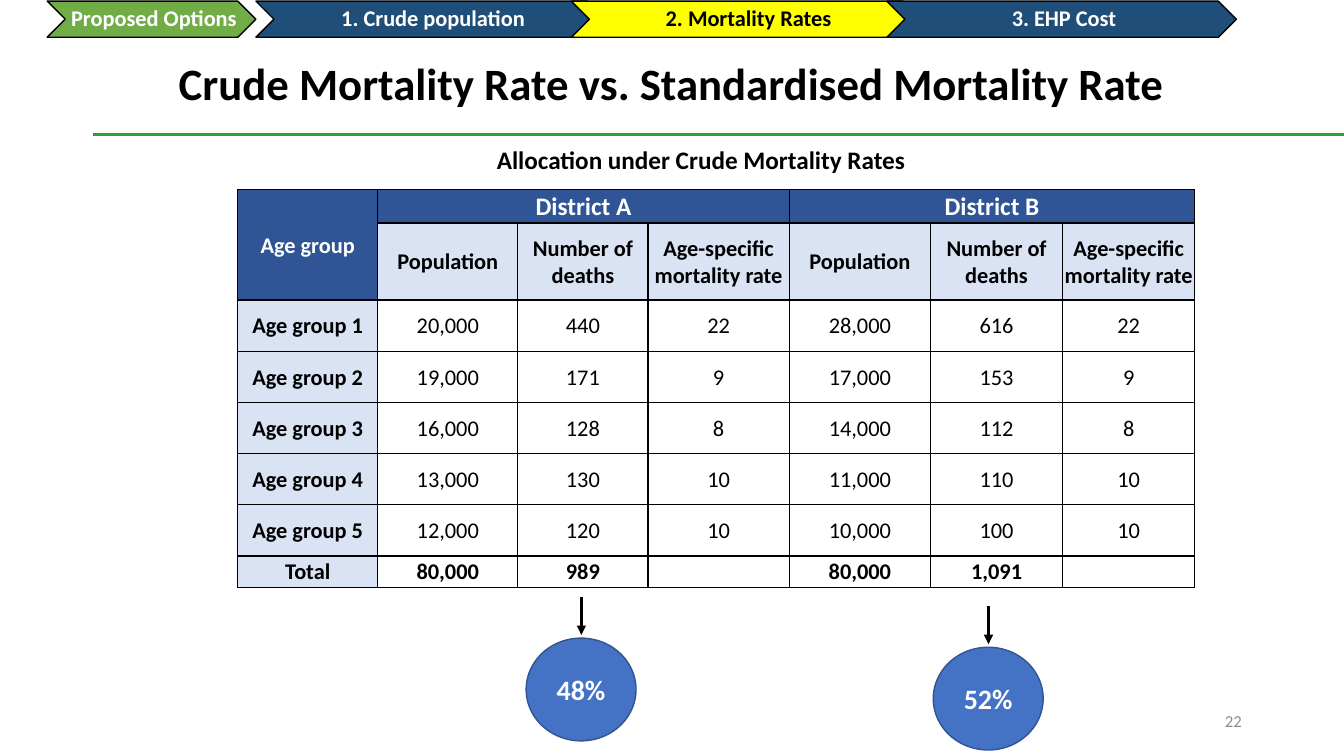
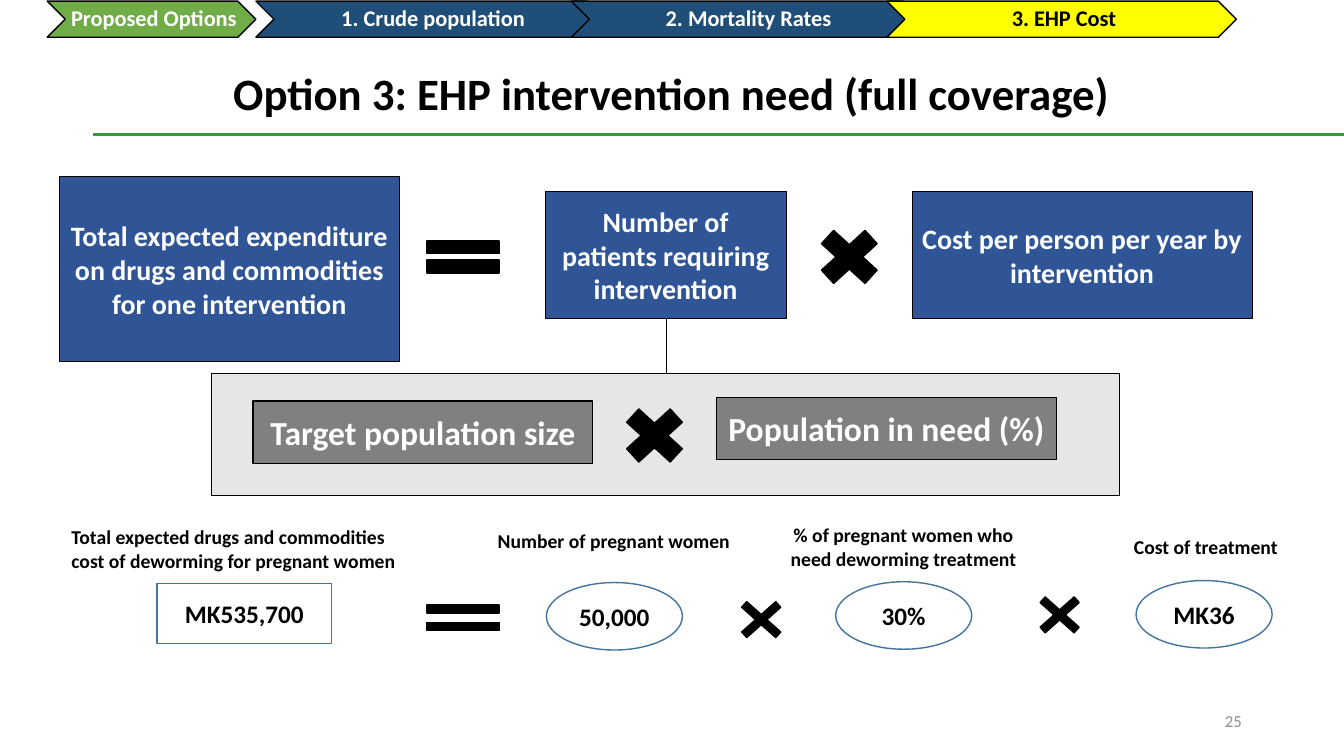
from dataclasses import dataclass
from lxml import etree
from pptx import Presentation, util as u
from pptx.dml.color import RGBColor
from pptx.enum import shapes, text
from pptx.oxml import ns

KIND = shapes.MSO_SHAPE
SIDE = text.PP_ALIGN
HOLD = text.MSO_ANCHOR


@dataclass(frozen=True)
class Theme:
    """Colours, font and type sizes of the deck."""
    font: str = "Calibri"
    black: str = "000000"
    white: str = "FFFFFF"
    green: str = "70AD47"
    rule: str = "339E35"
    navy: str = "1F4E79"
    live: str = "FFFF00"
    head: str = "2F5597"
    pale: str = "DAE3F3"
    disc: str = "4472C4"
    rim: str = "325491"
    ring: str = "43739E"
    panel: str = "E7E6E6"
    slate: str = "808080"
    page: str = "8C8C8C"
    title: int = 32
    large: int = 24
    mid: int = 20
    sub: int = 18
    body: int = 16
    label: int = 14
    note: int = 12


T = Theme()


def tint(name):
    """Turn a hex string into a colour."""
    return RGBColor.from_string(name)


def write(frame, words, size=T.body, color=T.black, bold=True,
          align=SIDE.CENTER, space=None):
    """Set one formatted paragraph in a text frame."""
    para = frame.paragraphs[0]
    para.alignment = align
    if space:
        para.line_spacing = space
    run = para.add_run()
    run.text = words
    run.font.name = T.font
    run.font.size = u.Pt(size)
    run.font.bold = bold
    run.font.color.rgb = tint(color)


def label(slide, box, words, anchor=HOLD.TOP, **form):
    """Add a wrapped text box."""
    frame = slide.shapes.add_textbox(*map(u.Cm, box)).text_frame
    frame.word_wrap = True
    frame.vertical_anchor = anchor
    write(frame, words, **form)


def block(slide, kind, box, fill, edge=T.black, width=1, words="",
          pad=(0.25, 0.25), wrap=True, adjust=(), **form):
    """Add a preset shape with an outline and optional text."""
    shape = slide.shapes.add_shape(kind, *map(u.Cm, box))
    shape.shadow.inherit = False
    shape.fill.solid()
    shape.fill.fore_color.rgb = tint(fill)
    shape.line.color.rgb = tint(edge)
    shape.line.width = u.Pt(width)
    for i, value in enumerate(adjust):
        shape.adjustments[i] = value
    if words:
        frame = shape.text_frame
        frame.word_wrap = wrap
        frame.vertical_anchor = HOLD.MIDDLE
        frame.margin_left, frame.margin_right = map(u.Cm, pad)
        frame.margin_top = frame.margin_bottom = u.Cm(0.05)
        write(frame, words, **form)


def line(slide, ends, color=T.black, width=2.25, arrow=False):
    """Add a straight line, with an arrowhead at its end on request."""
    link = slide.shapes.add_connector(
        shapes.MSO_CONNECTOR.STRAIGHT, *map(u.Cm, ends))
    link.line.color.rgb = tint(color)
    link.line.width = u.Pt(width)
    props = link.element.spPr
    if arrow:
        etree.SubElement(props.find(ns.qn("a:ln")), ns.qn("a:tailEnd"),
                         type="triangle")
    etree.SubElement(props, ns.qn("a:effectLst"))


def steps(slide, x, y, live):
    """Draw the row of chevrons and mark the live step."""
    names = ("1. Crude population", "2. Mortality Rates", "3. EHP Cost")
    parts = [(x + 5.26 + 7.95 * i, 8.81, name,
              T.live if i == live else T.navy)
             for i, name in enumerate(names)]
    parts.append((x, 5.26, "Proposed Options", T.green))
    for left, wide, name, fill in parts:
        block(slide, KIND.CHEVRON, (left, y, wide, 0.91), fill, words=name,
              pad=(0.17, 0.05), wrap=False, space=0.9,
              color=T.black if fill == T.live else T.white)


def start(deck, title, top, page, live):
    """Add a slide with its steps, title, rule and page number."""
    slide = deck.slides.add_slide(deck.slide_layouts[6])
    line(slide, (2.34, 3.38, 33.87, 3.38), T.rule)
    label(slide, (23.93, 17.65, 7.62, 1.02), page, HOLD.MIDDLE, size=T.note,
          color=T.page, bold=False, align=SIDE.RIGHT)
    label(slide, (2.69, top, 28.47, 2.87), title, HOLD.BOTTOM, size=T.title,
          space=0.9)
    steps(slide, 1.19, 0.03, live)
    return slide


def paint(cell, words, fill, **form):
    """Fill, border and write one table cell."""
    props = cell._tc.get_or_add_tcPr()
    for side in ("lnL", "lnR", "lnT", "lnB"):
        edge = etree.SubElement(props, ns.qn("a:" + side), w="12700")
        ink = etree.SubElement(edge, ns.qn("a:solidFill"))
        etree.SubElement(ink, ns.qn("a:srgbClr"), val=T.black)
    cell.fill.solid()
    cell.fill.fore_color.rgb = tint(fill)
    cell.margin_left = cell.margin_right = cell.margin_top = u.Cm(0.03)
    cell.margin_bottom = 0
    cell.vertical_anchor = HOLD.MIDDLE
    write(cell.text_frame, words, **form)


def grid(slide, x, y):
    """Draw the table of deaths by age group."""
    heads = ("Population", "Number of deaths", "Age-specific mortality rate")
    rows = (
        ("Age group", "District A", "", "", "District B", "", ""),
        ("",) + heads * 2,
        ("Age group 1", "20,000", "440", "22", "28,000", "616", "22"),
        ("Age group 2", "19,000", "171", "9", "17,000", "153", "9"),
        ("Age group 3", "16,000", "128", "8", "14,000", "112", "8"),
        ("Age group 4", "13,000", "130", "10", "11,000", "110", "10"),
        ("Age group 5", "12,000", "120", "10", "10,000", "100", "10"),
        ("Total", "80,000", "989", "", "80,000", "1,091", ""),
    )
    wides = (3.53, 3.53, 3.28, 3.56, 3.56, 3.33, 3.33)
    highs = (0.84, 1.94) + (1.29,) * 5 + (0.74,)
    box = (x, y, sum(wides), sum(highs))
    table = slide.shapes.add_table(len(rows), len(wides),
                                   *map(u.Cm, box)).table
    table.first_row = table.horz_banding = False
    for col, wide in zip(table.columns, wides):
        col.width = u.Cm(wide)
    for row, high in zip(table.rows, highs):
        row.height = u.Cm(high)
    for r, row in enumerate(rows):
        for c, words in enumerate(row):
            top = r == 0 or (r == 1 and c == 0)
            side = r == 1 or c == 0
            paint(table.cell(r, c), words,
                  T.head if top else T.pale if side else T.white,
                  color=T.white if top else T.black,
                  size=T.sub if r == 0 and c else T.body,
                  bold=top or side or r == len(rows) - 1)
    for first, last in (((0, 0), (1, 0)), ((0, 1), (0, 3)), ((0, 4), (0, 6))):
        table.cell(*first).merge(table.cell(*last))


def share(slide, x, y, words):
    """Draw an arrow down to a disc with a share."""
    block(slide, KIND.OVAL, (x, y, 2.77, 2.59), T.disc, T.rim, words=words,
          size=T.mid, color=T.white)
    line(slide, (x + 1.39, y - 1.04, x + 1.39, y - 0.08), arrow=True)


def sign(slide, kind, box, adjust=()):
    """Draw a black maths sign."""
    block(slide, kind, box, T.black, adjust=adjust)


def formula(slide, x, y):
    """Draw the top row: total equals patients times cost."""
    parts = (
        ((x, y, 8.56, 4.67), "Total expected expenditure on drugs and "
         "commodities for one intervention"),
        ((x + 12.24, y + 0.38, 6.07, 3.2),
         "Number of patients requiring intervention"),
        ((x + 21.49, y + 0.38, 8.56, 3.2),
         "Cost per person per year by intervention"),
    )
    for box, words in parts:
        block(slide, KIND.RECTANGLE, box, T.head, width=0.5, words=words,
              size=T.mid, color=T.white)
    sign(slide, KIND.MATH_EQUAL, (x + 8.94, y + 1.34, 2.46, 1.37))
    sign(slide, KIND.MATH_MULTIPLY, (x + 18.85, y + 1.06, 2.11, 1.93))


def need(slide, x, y):
    """Draw the panel that breaks down the patient number."""
    block(slide, KIND.RECTANGLE, (x, y, 22.89, 3.07), T.panel)
    for dx, dy, words in ((1.05, 0.69, "Target population size"),
                          (12.73, 0.59, "Population in need (%)")):
        block(slide, KIND.RECTANGLE, (x + dx, y + dy, 8.56, 1.57), T.slate,
              words=words, size=T.large, color=T.white)
    sign(slide, KIND.MATH_MULTIPLY, (x + 10.11, y + 0.59, 2.11, 1.93))
    line(slide, (x + 11.46, y - 1.37, x + 11.46, y), width=0.5)


def sample(slide, x, y):
    """Draw the worked case with its captions."""
    caps = (
        ((0, 0.05, 9.25, 1.7), "Total expected drugs and commodities cost "
         "of deworming for pregnant women", SIDE.LEFT),
        ((10.29, 0.15, 7.26, 0.86), "Number of pregnant women", SIDE.CENTER),
        ((17.78, 0, 6.88, 1.45), "% of pregnant women who need deworming "
         "treatment", SIDE.CENTER),
        ((25.4, 0.3, 6.88, 0.86), "Cost of treatment", SIDE.CENTER),
    )
    for (dx, dy, wide, high), words, align in caps:
        label(slide, (x + dx, y + dy, wide, high), words, size=T.label,
              align=align)
    block(slide, KIND.RECTANGLE, (x + 2.41, y + 1.65, 4.39, 1.5), T.white,
          T.ring, words="MK535,700", size=T.sub)
    for dx, dy, words in ((12.22, 1.62, "50,000"), (19.51, 1.6, "30%"),
                          (27.08, 1.57, "MK36")):
        block(slide, KIND.OVAL, (x + dx, y + dy, 3.43, 1.7), T.white, T.ring,
              words=words, pad=(0, 0), size=T.sub)
    sign(slide, KIND.MATH_EQUAL, (x + 8.89, y + 1.82, 2.46, 1.37),
         (0.147, 0.176))
    for dx, dy in ((16.81, 1.82), (24.33, 1.7)):
        sign(slide, KIND.MATH_MULTIPLY, (x + dx, y + dy, 1.65, 1.47), (0.13,))


def main():
    """Build and save the deck."""
    deck = Presentation()
    deck.slide_width, deck.slide_height = u.Cm(33.87), u.Cm(19.05)
    rates = start(
        deck, "Crude Mortality Rate vs. Standardised Mortality Rate",
        0.03, "22", 1)
    label(rates, (12.27, 3.51, 10.9, 1.02),
          "Allocation under Crude Mortality Rates", size=T.sub,
          align=SIDE.LEFT)
    grid(rates, 5.99, 4.78)
    share(rates, 13.26, 16.08, "48%")
    share(rates, 23.52, 16.31, "52%")
    cost = start(deck, "Option 3: EHP intervention need (full coverage)",
                 0.28, "25", 2)
    formula(cost, 1.5, 4.45)
    need(cost, 5.33, 9.42)
    sample(cost, 1.55, 13.06)
    deck.save("out.pptx")


if __name__ == "__main__":
    main()
